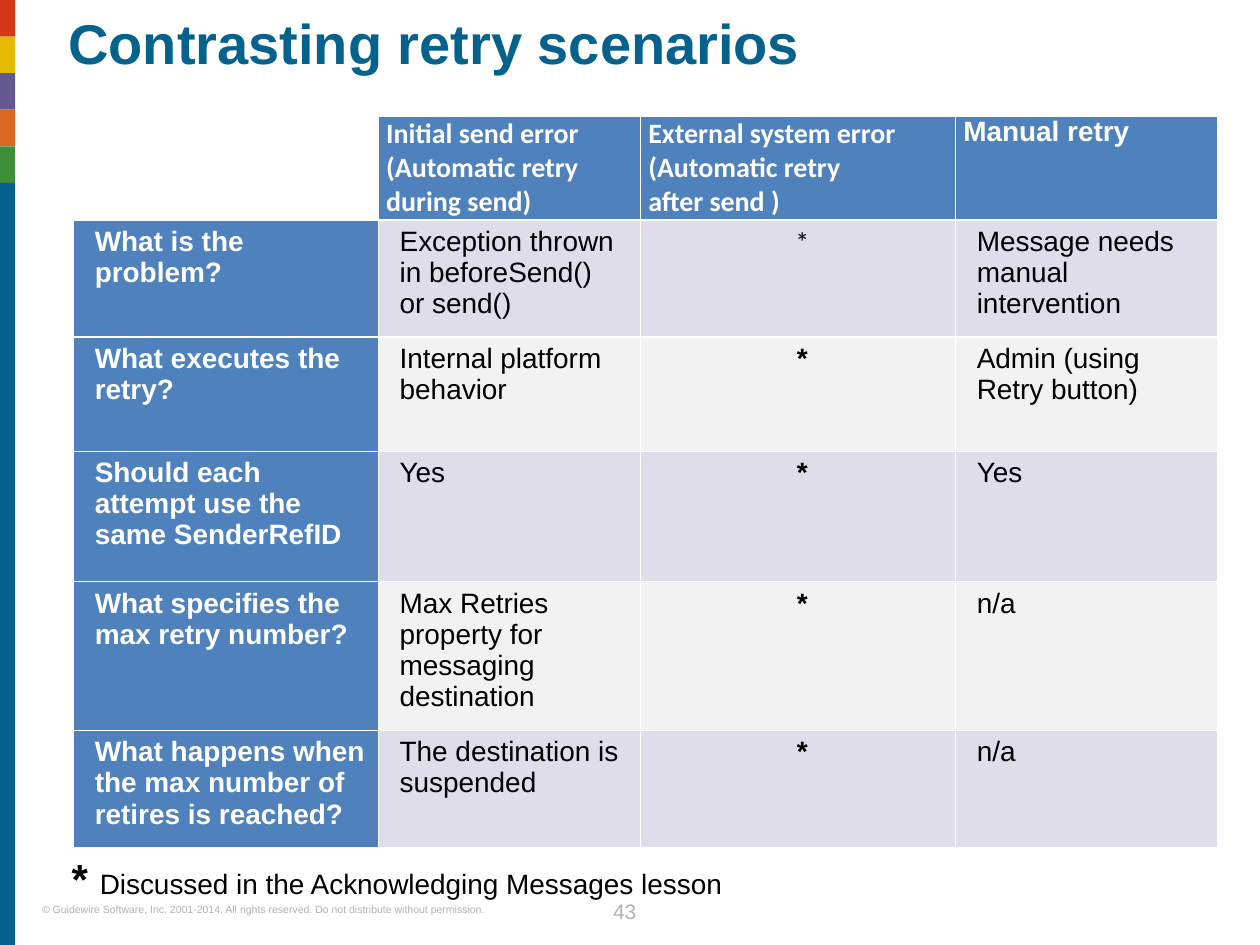
"""Build the slide that contrasts retry scenarios."""
from lxml import etree
from pptx import Presentation
from pptx.dml.color import RGBColor
from pptx.enum.shapes import MSO_SHAPE
from pptx.enum.text import PP_ALIGN
from pptx.oxml.ns import qn
from pptx.util import Pt

RECTANGLE = MSO_SHAPE.RECTANGLE
LEFT, CENTER = PP_ALIGN.LEFT, PP_ALIGN.CENTER

TEAL, BLUE, GREY = "04628C", "4F81BD", "B2B2B2"
BLACK, WHITE = "000000", "FFFFFF"
ROW_FILLS = ["DFDDEA", "F2F2F2"]
STRIPE_COLORS = ["D33819", "E5BA03", "645893", "D8691E", "3F8E39"]
STRIPE_WIDTH, STRIPE_HEIGHT, SLIDE_HEIGHT = 8.7, 20.9, 540

COLUMN_WIDTHS = [174.2, 149.8, 180, 149.8]
ROW_HEIGHTS = [59, 67, 65.2, 74.5, 85, 67]
HEADINGS = [
    ("Initial send error\v(Automatic retry during send)", "Calibri"),
    ("External system error (Automatic retry \vafter send )", "Calibri"),
    ("Manual retry", "Arial"),
]
QUESTIONS = [
    ("What is the problem?", "Exception thrown in beforeSend()\vor send()",
     "Message needs manual intervention"),
    ("What executes the retry?", "Internal platform behavior",
     "Admin (using Retry button)"),
    ("Should each attempt use the same SenderRefID", "Yes", "Yes"),
    ("What specifies the max retry number?",
     "Max Retries property for messaging destination", "n/a"),
    ("What happens when the max number of retires is reached?",
     "The destination is suspended", "n/a"),
]


def rgb(value):
    """Turn a hex string into a colour."""
    return RGBColor.from_string(value)


def style_font(font, size, color, bold=False, name="Arial"):
    """Set the look of a font."""
    font.name, font.size, font.bold = name, Pt(size), bold
    font.color.rgb = rgb(color)


def add_text(slide, box, text, size, color, bold=False, wrap=True):
    """Add a text box without insets and return its paragraph."""
    frame = slide.shapes.add_textbox(*map(Pt, box)).text_frame
    frame.margin_left = frame.margin_right = 0
    frame.margin_top = frame.margin_bottom = 0
    frame.word_wrap = wrap
    frame.text = text
    paragraph = frame.paragraphs[0]
    for run in paragraph.runs:
        style_font(run.font, size, color, bold)
    return paragraph


def add_stripe(slide, top, height, color):
    """Add one block of the colour strip on the left edge."""
    stripe = slide.shapes.add_shape(
        RECTANGLE, 0, Pt(top), Pt(STRIPE_WIDTH), Pt(height))
    stripe.shadow.inherit = False
    stripe.fill.solid()
    stripe.fill.fore_color.rgb = rgb(color)
    stripe.line.fill.background()


def add_color_strip(slide):
    """Stack the short stripes above the long teal one."""
    for index, color in enumerate(STRIPE_COLORS):
        add_stripe(slide, index * STRIPE_HEIGHT, STRIPE_HEIGHT, color)
    top = len(STRIPE_COLORS) * STRIPE_HEIGHT
    add_stripe(slide, top, SLIDE_HEIGHT - top, TEAL)


def set_cell_look(cell, fill):
    """Give a cell thin white borders and a solid fill."""
    properties = cell._tc.get_or_add_tcPr()
    for side in ("a:lnL", "a:lnR", "a:lnT", "a:lnB"):
        border = etree.SubElement(properties, qn(side), w=str(Pt(1)))
        solid = etree.SubElement(border, qn("a:solidFill"))
        etree.SubElement(solid, qn("a:srgbClr"), val=WHITE)
    cell.fill.solid()
    cell.fill.fore_color.rgb = rgb(fill)


def fill_cell(cell, text, fill, color=BLACK, bold=False, name="Arial",
              align=LEFT, indent=5):
    """Write indented text into a cell and style it."""
    set_cell_look(cell, fill)
    cell.text_frame.text = text
    paragraph = cell.text_frame.paragraphs[0]
    paragraph.alignment = align
    paragraph._p.get_or_add_pPr().set("marL", str(Pt(indent)))
    for run in paragraph.runs:
        style_font(run.font, 16, color, bold, name)


def add_scenario_table(slide):
    """Add the table of questions against retry scenarios."""
    table = slide.shapes.add_table(
        len(ROW_HEIGHTS), len(COLUMN_WIDTHS), Pt(42), Pt(66.7),
        Pt(sum(COLUMN_WIDTHS)), Pt(sum(ROW_HEIGHTS))).table
    table.first_row = table.horz_banding = False
    for column, width in zip(table.columns, COLUMN_WIDTHS):
        column.width = Pt(width)
    for row, height in zip(table.rows, ROW_HEIGHTS):
        row.height = Pt(height)

    set_cell_look(table.cell(0, 0), WHITE)
    for column, (heading, name) in enumerate(HEADINGS, 1):
        cell = table.cell(0, column)
        cell.margin_left = cell.margin_right = 0
        cell.margin_top = cell.margin_bottom = 0
        fill_cell(cell, heading, BLUE, WHITE, True, name, indent=4.5)

    for row, (question, initial, manual) in enumerate(QUESTIONS, 1):
        fill = ROW_FILLS[(row - 1) % 2]
        star_bold, star_font = (False, "Calibri") if row == 1 else (True, "Arial")
        fill_cell(table.cell(row, 0), question, BLUE, WHITE, True)
        fill_cell(table.cell(row, 1), initial, fill)
        fill_cell(table.cell(row, 2), "*", fill, bold=star_bold,
                  name=star_font, align=CENTER)
        fill_cell(table.cell(row, 3), manual, fill)


def add_footnote(slide):
    """Add the note that explains the star."""
    note = add_text(slide, (41, 487, 655, 36), "* ", 24, BLACK, True)
    lesson = note.add_run()
    lesson.text = "Discussed in the Acknowledging Messages lesson"
    style_font(lesson.font, 16, BLACK)


def main():
    """Build and save the slide."""
    presentation = Presentation()
    presentation.slide_width, presentation.slide_height = Pt(720), Pt(SLIDE_HEIGHT)
    slide = presentation.slides.add_slide(presentation.slide_layouts[6])

    add_color_strip(slide)
    add_text(slide, (24, 516, 290, 7),
             "© Guidewire Software, Inc. 2001-2014. All rights reserved. "
             "Do not distribute without permission.", 6, GREY, wrap=False)
    page_number = add_text(slide, (336.5, 510, 41, 18), "43", 12, GREY)
    page_number.alignment = CENTER
    page_number.line_spacing = Pt(18)

    title = add_text(slide, (39, 9.5, 655, 58), "Contrasting retry scenarios",
                     32, TEAL, True)
    title.line_spacing = 0.9
    add_scenario_table(slide)
    add_footnote(slide)
    presentation.save("out.pptx")


if __name__ == "__main__":
    main()
